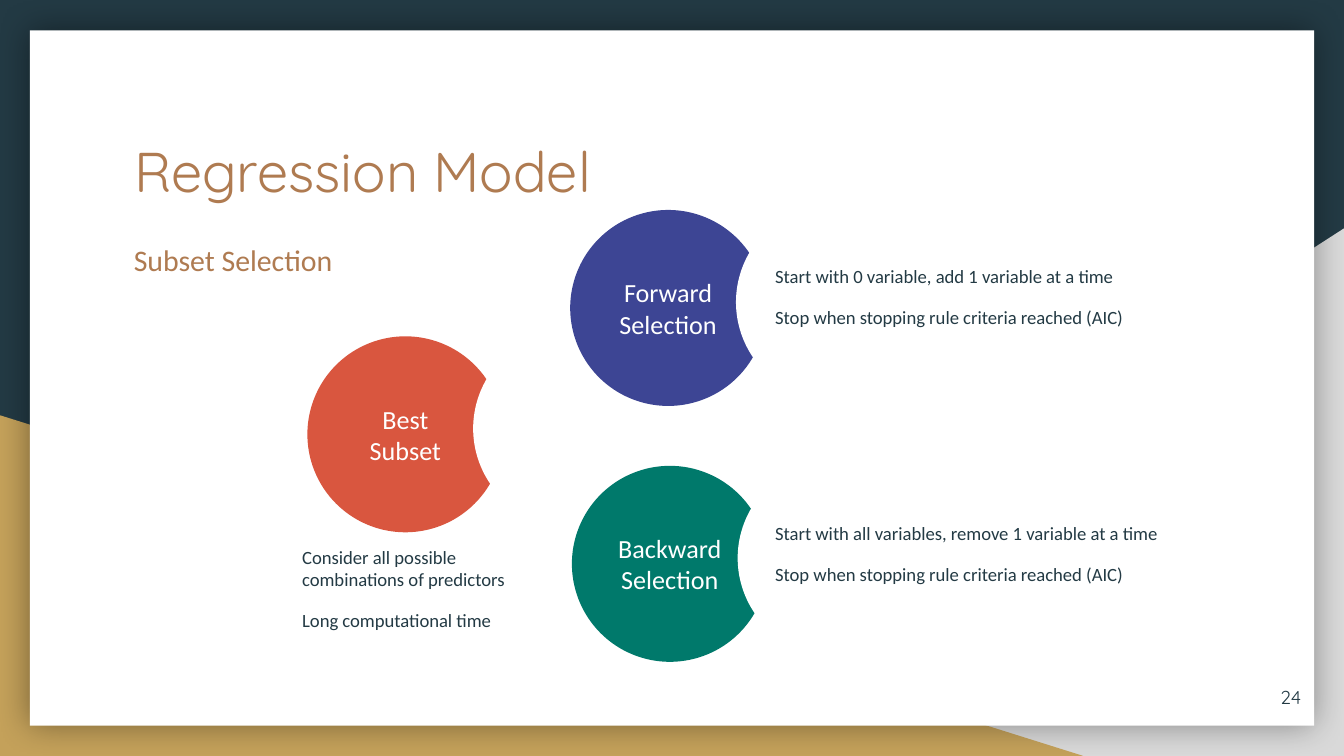
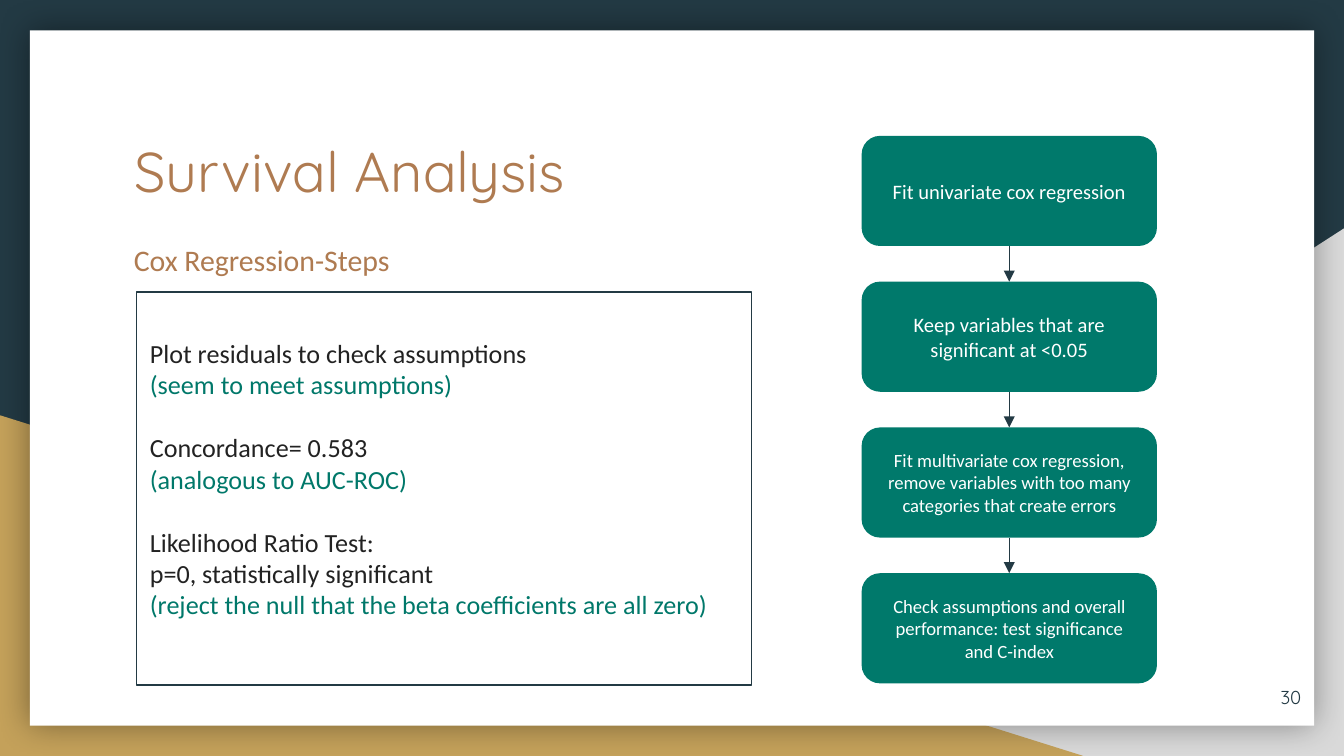
from lxml import etree
from pptx import Presentation
from pptx.dml.color import RGBColor
from pptx.enum import shapes as kind, text as txt
from pptx.oxml import ns
from pptx.util import Pt

NAVY = RGBColor(0x23, 0x3A, 0x44)
GRAY = RGBColor(0xD9, 0xD9, 0xD9)
GOLD = RGBColor(0xC4, 0xA1, 0x5A)
BROWN = RGBColor(0xAF, 0x7B, 0x51)
WHITE = RGBColor(0xFF, 0xFF, 0xFF)
RED = RGBColor(0xD9, 0x56, 0x3F)
BLUE = RGBColor(0x3D, 0x45, 0x94)
GREEN = RGBColor(0x00, 0x79, 0x6B)
TEAL = RGBColor(0x00, 0x78, 0x6A)
INK = RGBColor(0x22, 0x22, 0x22)

SHAPE = kind.MSO_SHAPE
LEFT, CENTER, RIGHT = (txt.PP_ALIGN.LEFT, txt.PP_ALIGN.CENTER,
                       txt.PP_ALIGN.RIGHT)
TOP, MIDDLE = txt.MSO_ANCHOR.TOP, txt.MSO_ANCHOR.MIDDLE
INSET = 7.2
DISC = 105
LINE = 17


def apply(item, values):
    for name, value in values.items():
        setattr(item, name, value)


def place(item, box):
    sides = ("left", "top", "width", "height")
    apply(item, {side: Pt(size) for side, size in zip(sides, box)})


def format_frame(frame, anchor=TOP, top=INSET):
    apply(frame, {
        "word_wrap": True, "auto_size": txt.MSO_AUTO_SIZE.NONE,
        "vertical_anchor": anchor, "margin_left": Pt(INSET),
        "margin_right": Pt(INSET), "margin_top": Pt(top),
        "margin_bottom": Pt(INSET)})


def write(frame, lines, size, color, face="Calibri", align=LEFT):
    for index, line in enumerate(lines):
        para = frame.add_paragraph() if index else frame.paragraphs[0]
        para.alignment = align
        run = para.add_run()
        run.text = line
        apply(run.font, {"size": Pt(size), "name": face})
        run.font.color.rgb = color


def add_text(slide, box, lines, size, color, face="Calibri",
             align=LEFT, anchor=TOP):
    area = slide.shapes.add_textbox(*map(Pt, box))
    format_frame(area.text_frame, anchor)
    write(area.text_frame, lines, size, color, face, align)
    return area.text_frame


def add_form(slide, form, box, color=None):
    shape = slide.shapes.add_shape(form, *map(Pt, box))
    shape.shadow.inherit = False
    shape.line.fill.background()
    if color is None:
        shape.fill.background()
    else:
        shape.fill.solid()
        shape.fill.fore_color.rgb = color
    return shape


def add_label(shape, label, size):
    format_frame(shape.text_frame, MIDDLE)
    write(shape.text_frame, [label], size, WHITE, align=CENTER)


def add_glow(shape):
    effects = shape.element.spPr.find(ns.qn("a:effectLst"))
    glow = etree.SubElement(effects, ns.qn("a:outerShdw"), blurRad=str(Pt(18)),
                            dist="0", dir="0", algn="ctr", rotWithShape="0")
    tint = etree.SubElement(glow, ns.qn("a:srgbClr"), val="000000")
    etree.SubElement(tint, ns.qn("a:alpha"), val="40000")


def add_arrow(slide, start, end):
    arrow = slide.shapes.add_connector(kind.MSO_CONNECTOR.STRAIGHT, 0, 0, 0, 0)
    arrow.begin_connect(start, 2)
    arrow.end_connect(end, 0)
    arrow.line.width = Pt(0.75)
    arrow.line.color.rgb = NAVY
    etree.SubElement(arrow.line._get_or_add_ln(), ns.qn("a:tailEnd"),
                     type="triangle")
    etree.SubElement(arrow.element.spPr, ns.qn("a:effectLst"))


def dress_layout(layout, slide):
    layout.background.fill.solid()
    layout.background.fill.fore_color.rgb = NAVY
    right = add_form(slide, SHAPE.RIGHT_TRIANGLE, (282, 122.4, 438, 282.6), GRAY)
    right.element.spPr.xfrm.set("flipH", "1")
    left = add_form(slide, SHAPE.RIGHT_TRIANGLE, (0, 222.5, 580.3, 182.5), GOLD)
    card = add_form(slide, SHAPE.RECTANGLE, (16, 16.2, 688, 372.6), WHITE)
    add_glow(card)
    for spot, shape in enumerate((right, left, card), 2):
        layout.element.cSld.spTree.insert(spot, shape.element)


def add_heads(slide, title, topic, number):
    head = slide.shapes.title
    place(head, (64.6, 66.2, 506, 55.4))
    format_frame(head.text_frame)
    write(head.text_frame, [title], 30, BROWN, "Quicksand")
    add_text(slide, (64.6, 122.4, 461.5, 31), [topic], 16, BROWN)
    add_text(slide, (661, 357.8, 43.2, 31), [number], 10, NAVY,
             "Quicksand", RIGHT, MIDDLE)


def add_moon(slide, left, top, label, color):
    disc = add_form(slide, SHAPE.OVAL, (left, top, DISC, DISC), color)
    add_label(disc, label, 14)
    add_form(slide, SHAPE.OVAL, (left + 88.8, top - 3.1, DISC, DISC), WHITE)


def add_notes(slide, left, top, width, lines):
    frame = add_text(slide, (left, top, width, 43.2), lines, 10, NAVY)
    for para in frame.paragraphs[1:]:
        apply(para, {"space_before": Pt(10), "space_after": Pt(10)})


def add_steps(slide, steps):
    last = None
    for index, (label, size) in enumerate(steps):
        box = (461.6, 72.8 + 78.1 * index, 158.2, 59)
        step = add_form(slide, SHAPE.ROUNDED_RECTANGLE, box, GREEN)
        add_label(step, label, size)
        if last:
            add_arrow(slide, last, step)
        last = step


def add_panel(slide, groups):
    panel = add_form(slide, SHAPE.RECTANGLE, (73.2, 156.4, 329.6, 210.6))
    panel.line.color.rgb = NAVY
    panel.line.width = Pt(0.75)
    frame = panel.text_frame
    format_frame(frame, top=INSET + LINE)
    write(frame, [line for group in groups for line in group], 14, INK)
    start = 0
    for group in groups:
        if start:
            frame.paragraphs[start].space_before = Pt(LINE)
        start += len(group)
        frame.paragraphs[start - 1].runs[0].font.color.rgb = TEAL


def main():
    deck = Presentation()
    apply(deck, {"slide_width": Pt(720), "slide_height": Pt(405)})
    layout = deck.slide_layouts[5]

    slide = deck.slides.add_slide(layout)
    dress_layout(layout, slide)
    add_heads(slide, "Regression Model", "Subset Selection", "24")
    add_moon(slide, 164.7, 180.2, "Best Subset", RED)
    add_moon(slide, 305.5, 112.5, "Forward Selection", BLUE)
    add_moon(slide, 306.4, 249.6, "Backward Selection", GREEN)
    stop = "Stop when stopping rule criteria reached (AIC)"
    add_notes(slide, 154.8, 285.1, 144, [
        "Consider all possible combinations of predictors",
        "Long computational time"])
    add_notes(slide, 408.2, 134.6, 205.2, [
        "Start with 0 variable, add 1 variable at a time", stop])
    add_notes(slide, 408.2, 272.2, 232.6, [
        "Start with all variables, remove 1 variable at a time", stop])

    slide = deck.slides.add_slide(layout)
    add_heads(slide, "Survival Analysis", "Cox Regression-Steps", "30")
    add_steps(slide, [
        ("Fit univariate cox regression", 11),
        ("Keep variables that are significant at <0.05", 11),
        ("Fit multivariate cox regression, remove variables with too many "
         "categories that create errors", 10),
        ("Check assumptions and overall performance: test significance "
         "and C-index", 10)])
    add_panel(slide, [
        ["Plot residuals to check assumptions", "(seem to meet assumptions)"],
        ["Concordance= 0.583", "(analogous to AUC-ROC)"],
        ["Likelihood Ratio Test:", "p=0, statistically significant",
         "(reject the null that the beta coefficients are all zero)"]])

    deck.save("out.pptx")


if __name__ == "__main__":
    main()
